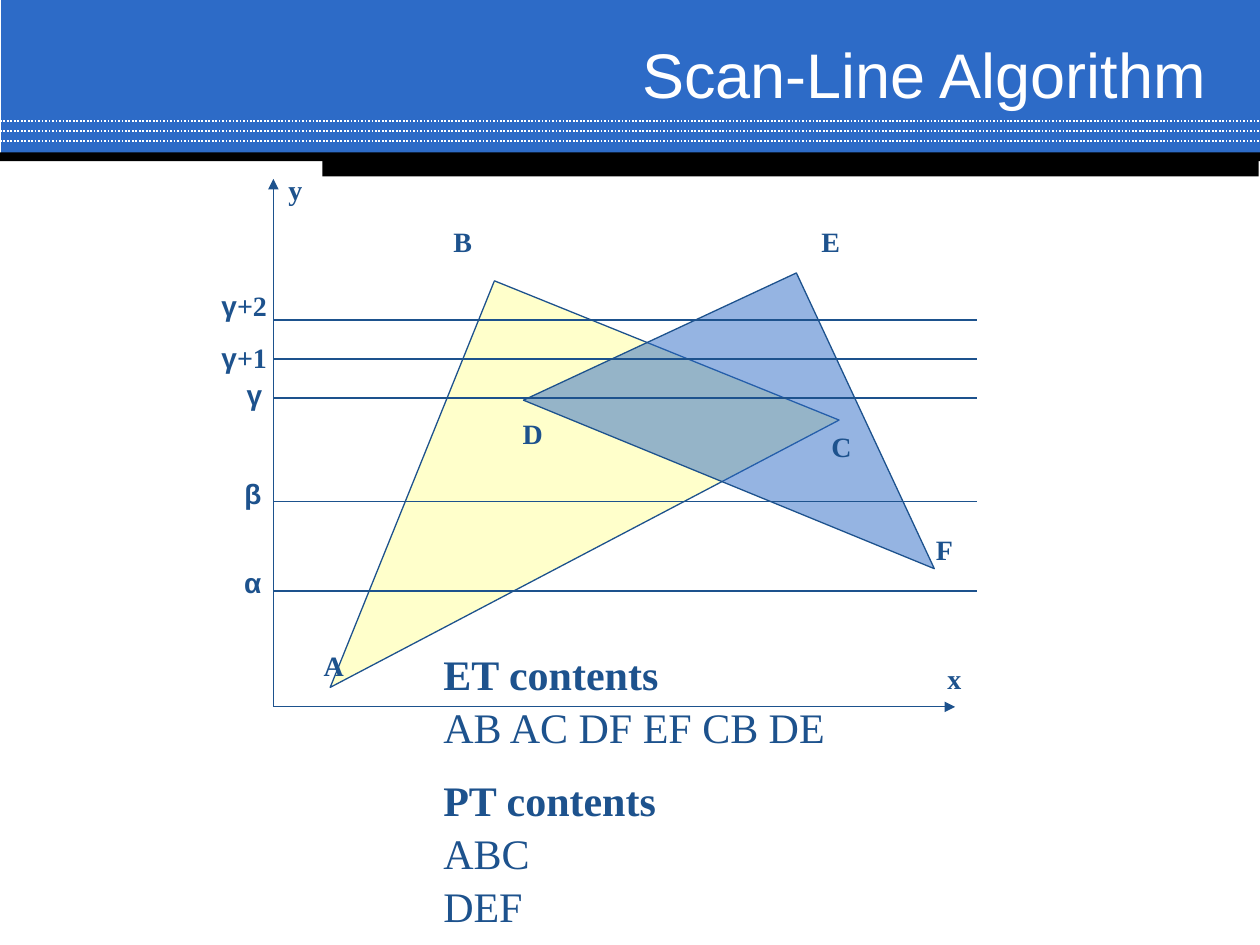
from pptx import Presentation
from pptx.util import Inches, Pt
from pptx.dml.color import RGBColor
from pptx.enum.dml import MSO_LINE as Dash
from pptx.enum.shapes import MSO_SHAPE as Shape, MSO_CONNECTOR as Conn
from pptx.enum.text import MSO_ANCHOR as Anchor, MSO_AUTO_SIZE as Fit, PP_ALIGN as Align
from pptx.oxml.ns import qn
from lxml.etree import SubElement as Sub

BLUE = RGBColor(0x2D, 0x6B, 0xC7)
INK = RGBColor(0x1D, 0x52, 0x8D)
PALE = RGBColor(0xFF, 0xFF, 0x99)
WHITE = RGBColor(0xFF, 0xFF, 0xFF)
BLACK = RGBColor(0, 0, 0)
SANS, SERIF = "Arial", "Times New Roman"

TITLE = "Scan-Line Algorithm"
BANDS = [
    (0.01, 0, 9.99, 1.23, BLUE),
    (0, 1.21, 10, 0.07, BLACK),
    (2.56, 1.24, 7.43, 0.16, BLACK),
]
RULES = [0.96, 1.04, 1.12]
TRIS = [
    (2.9, 2.92, 3.48, 2.95, 112, PALE),
    (4.59, 2.55, 2.39, 2.59, 155, BLUE),
]
LEFT, BASE = 2.17, 5.61
AXES = [(LEFT, 1.42), (7.58, BASE)]
SCANS = [4.69, 3.98, 3.16, 2.85, 2.54]
LABELS = [
    (2.47, 5.1, 0.36, "", "A"),
    (3.5, 1.73, 0.35, "", "B"),
    (6.5, 3.36, 0.36, "", "C"),
    (7.33, 4.18, 0.33, "", "F"),
    (6.42, 1.73, 0.35, "", "E"),
    (4.05, 3.26, 0.36, "", "D"),
    (1.84, 4.44, 0.34, "α", ""),
    (1.84, 3.73, 0.32, "β", ""),
    (1.86, 2.95, 0.32, "γ", ""),
    (1.66, 2.65, 0.56, "γ", "+1"),
    (1.66, 2.24, 0.56, "γ", "+2"),
    (7.42, 5.2, 0.31, "", "x"),
    (2.19, 1.32, 0.31, "", "y"),
]
LISTS = [
    (3.42, 5.08, 3.42, 1, ["ET contents", "AB AC DF EF CB DE"]),
    (3.42, 6.08, 2.17, 1.25, ["PT contents", "ABC", "DEF"]),
]

prs = Presentation()
prs.slide_width, prs.slide_height = Inches(10), Inches(7.5)
slide = prs.slides.add_slide(prs.slide_layouts[6])
parts = slide.shapes


def add_form(kind, x, y, w, h, fill):
    form = parts.add_shape(kind, Inches(x), Inches(y), Inches(w), Inches(h))
    form.shadow.inherit = False
    form.fill.solid()
    form.fill.fore_color.rgb = fill
    form.line.fill.background()
    return form


def add_line(x1, y1, x2, y2, color=INK, width=0.74):
    line = parts.add_connector(
        Conn.STRAIGHT, Inches(x1), Inches(y1), Inches(x2), Inches(y2))
    line.line.color.rgb = color
    line.line.width = Pt(width)
    return line


def end_line(line, arrow=False):
    if arrow:
        Sub(line.line._get_or_add_ln(), qn("a:tailEnd"), type="triangle")
    Sub(line._element.spPr, qn("a:effectLst"))


def add_box(x, y, w, h, wrap=True):
    box = parts.add_textbox(Inches(x), Inches(y), Inches(w), Inches(h))
    box.text_frame.word_wrap = wrap
    return box.text_frame


def add_run(para, text, size, face, color=INK, bold=True):
    run = para.add_run()
    run.text = text
    font = run.font
    font.size, font.name, font.bold = Pt(size), face, bold
    font.color.rgb = color


for x, y, w, h, fill in BANDS:
    add_form(Shape.RECTANGLE, x, y, w, h, fill)
    if fill == BLUE:
        for rule in RULES:
            line = add_line(0, rule, 10, rule, WHITE, 0.99)
            line.line.dash_style = Dash.ROUND_DOT
            end_line(line)

frame = add_box(2.75, 0.29, 6.92, 0.58)
frame.vertical_anchor = Anchor.MIDDLE
para = frame.paragraphs[0]
para.alignment = Align.RIGHT
add_run(para, TITLE, 36, SANS, WHITE, False)

for x, y, w, h, turn, fill in TRIS:
    tri = add_form(Shape.RIGHT_TRIANGLE, x, y, w, h, fill)
    tri.rotation = turn
    tri.line.color.rgb = INK
    tri.line.width = Pt(0.74)
    tint = tri._element.spPr.find(qn("a:solidFill"))[0]
    Sub(tint, qn("a:alpha"), val="50000")

for x, y in AXES:
    end_line(add_line(LEFT, BASE, x, y), True)
for y in SCANS:
    end_line(add_line(LEFT, y, 7.75, y))

for x, y, w, greek, latin in LABELS:
    frame = add_box(x, y, w, 0.37, False)
    frame.auto_size = Fit.SHAPE_TO_FIT_TEXT
    for text, face in ((greek, SANS), (latin, SERIF)):
        if text:
            add_run(frame.paragraphs[0], text, 16, face)

for x, y, w, h, rows in LISTS:
    frame = add_box(x, y, w, h)
    for i, row in enumerate(rows):
        para = frame.add_paragraph() if i else frame.paragraphs[0]
        para.line_spacing = 1.05
        add_run(para, row, 24, SERIF, INK, i == 0)

prs.save("out.pptx")
